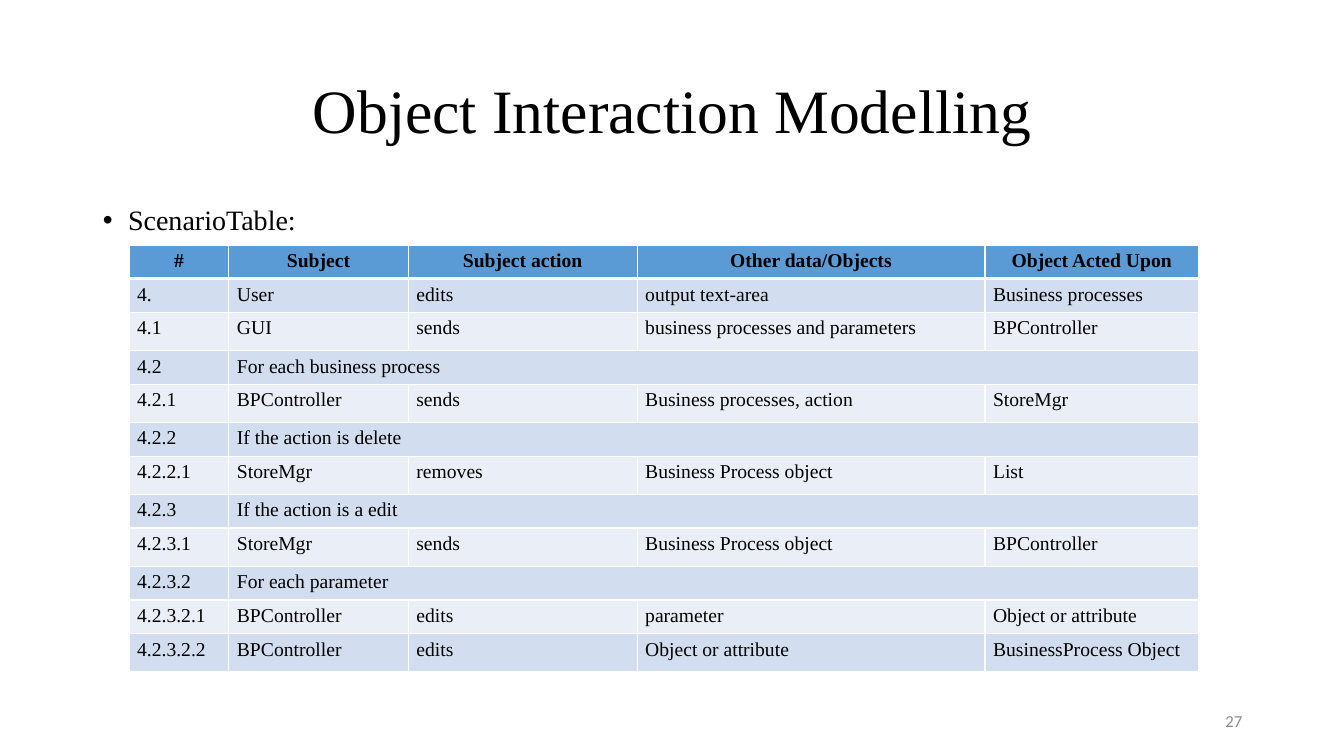
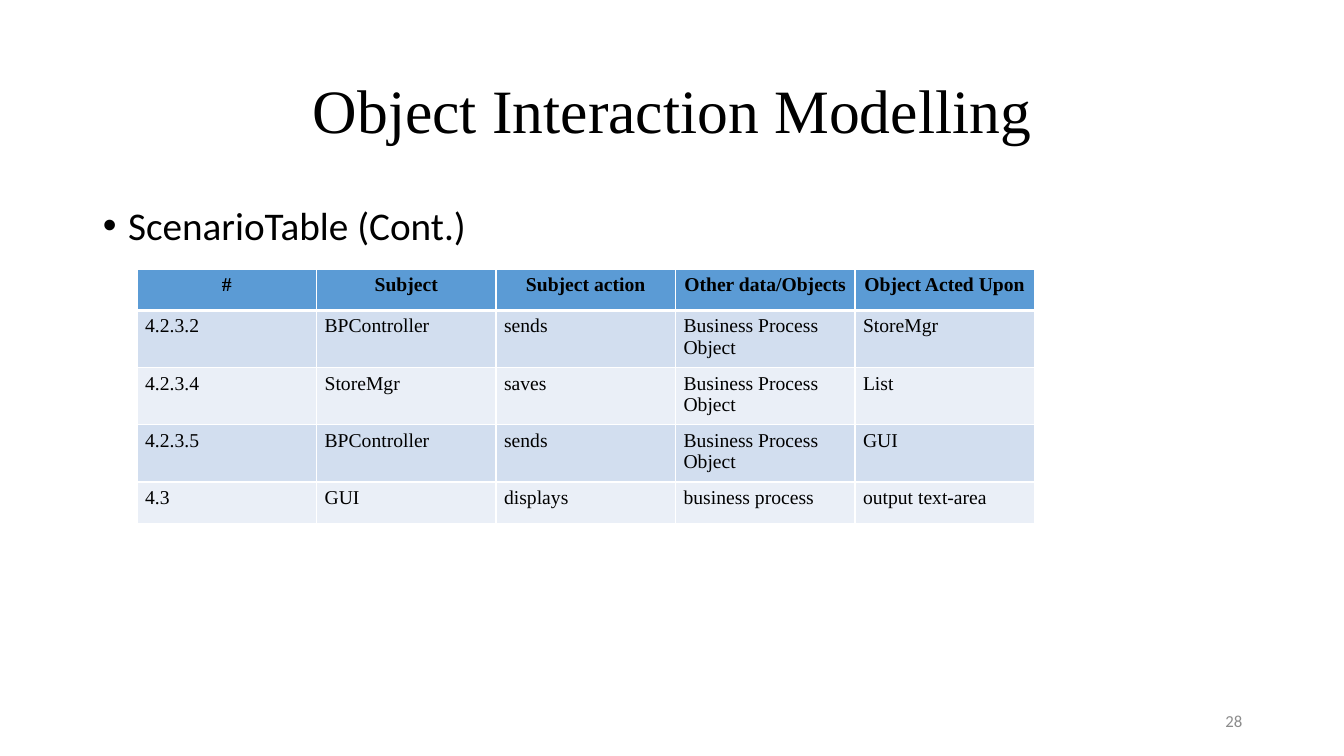
from dataclasses import dataclass

from lxml.etree import SubElement
from pptx import Presentation
from pptx.dml.color import RGBColor
from pptx.enum.text import MSO_ANCHOR as Anchor, MSO_AUTO_SIZE as AutoSize, PP_ALIGN as Align
from pptx.oxml.ns import qn
from pptx.util import Pt

PX = 9144  # EMU per px, 100 px to the inch


@dataclass(frozen=True)
class Theme:
    serif: str = "Times New Roman"
    sans: str = "Calibri"
    text: str = "000000"
    muted: str = "8C8C8C"
    border: str = "FFFFFF"
    header: str = "5B9BD5"
    bands: tuple = ("D2DEEF", "EAEFF7")
    title_size: int = 44
    cell_size: int = 14
    number_size: int = 12


THEME = Theme()
TITLE = "Object Interaction Modelling"
TITLE_BOX = (92, 40, 1150, 145)
BODY_BOX = (92, 200, 1150, 476)
NUMBER_BOX = (942, 695, 300, 40)
BULLET_INDENT = 25
CELL_INSETS = (8, 5, 8, 5)

HEADINGS = ("#", "Subject", "Subject action", "Other data/Objects", "Object Acted Upon")

# A row of two entries spans its second one over the remaining columns.
SCENARIO = (
    HEADINGS,
    ("4.", "User", "edits", "output text-area", "Business processes"),
    ("4.1", "GUI", "sends", "business processes and parameters", "BPController"),
    ("4.2", "For each business process"),
    ("4.2.1", "BPController", "sends", "Business processes, action", "StoreMgr"),
    ("4.2.2", "If the action is delete"),
    ("4.2.2.1", "StoreMgr", "removes", "Business Process object", "List"),
    ("4.2.3", "If the action is a edit"),
    ("4.2.3.1", "StoreMgr", "sends", "Business Process object", "BPController"),
    ("4.2.3.2", "For each parameter"),
    ("4.2.3.2.1", "BPController", "edits", "parameter", "Object or attribute"),
    ("4.2.3.2.2", "BPController", "edits", "Object or attribute", "BusinessProcess Object"),
)
SCENARIO_COLUMNS = (99, 178, 227, 345, 212)
SCENARIO_HEIGHTS = (31, 31, 38, 31, 38, 31, 38, 31, 38, 31, 31, 38)

CONTINUED = (
    HEADINGS,
    ("4.2.3.2", "BPController", "sends", "Business Process Object", "StoreMgr"),
    ("4.2.3.4", "StoreMgr", "saves", "Business Process Object", "List"),
    ("4.2.3.5", "BPController", "sends", "Business Process Object", "GUI"),
    ("4.3", "GUI", "displays", "business process", "output text-area"),
)
CONTINUED_COLUMNS = (178,) * len(HEADINGS)
CONTINUED_HEIGHTS = (41,) * len(CONTINUED)


def emu(lengths):
    return [length * PX for length in lengths]


def write(frame, text, *, size, font=THEME.serif, color=THEME.text, bold=False,
          align=Align.LEFT, anchor=Anchor.TOP, line_spacing=None, space_before=0):
    """Write one formatted paragraph and return it."""
    frame.word_wrap = True
    frame.vertical_anchor = anchor
    paragraph = frame.paragraphs[0]
    paragraph.alignment = align
    paragraph.line_spacing = line_spacing
    paragraph.space_before = Pt(space_before)
    run = paragraph.add_run()
    run.text = text
    run.font.size = Pt(size)
    run.font.name = font
    run.font.bold = bold
    run.font.color.rgb = RGBColor.from_string(color)
    return paragraph


def place(shape, box):
    shape.left, shape.top, shape.width, shape.height = emu(box)
    shape.text_frame.auto_size = AutoSize.NONE


def add_base_slide(presentation, number, bullet, **bullet_format):
    """Add a slide with the shared title, one bullet and the slide number."""
    slide = presentation.slides.add_slide(presentation.slide_layouts[1])
    title, body = slide.placeholders
    place(title, TITLE_BOX)
    write(title.text_frame, TITLE, size=THEME.title_size, align=Align.CENTER,
          anchor=Anchor.MIDDLE, line_spacing=0.9)

    place(body, BODY_BOX)
    paragraph = write(body.text_frame, bullet, line_spacing=0.9, space_before=10,
                      **bullet_format)
    properties = paragraph._p.get_or_add_pPr()
    properties.set("marL", str(BULLET_INDENT * PX))
    properties.set("indent", str(-BULLET_INDENT * PX))

    number_box = slide.shapes.add_textbox(*emu(NUMBER_BOX))
    write(number_box.text_frame, str(number), size=THEME.number_size, font=THEME.sans,
          color=THEME.muted, align=Align.RIGHT, anchor=Anchor.MIDDLE)
    return slide


def set_borders(cell, bottom):
    properties = cell._tc.get_or_add_tcPr()
    for side, points in (("L", 1), ("R", 1), ("T", 1), ("B", bottom)):
        line = SubElement(properties, qn(f"a:ln{side}"), w=str(Pt(points)))
        fill = SubElement(line, qn("a:solidFill"))
        SubElement(fill, qn("a:srgbClr"), val=THEME.border)


def style_cell(cell, row_index):
    is_header = row_index == 0
    set_borders(cell, bottom=3 if is_header else 1)
    cell.fill.solid()
    color = THEME.header if is_header else THEME.bands[(row_index - 1) % 2]
    cell.fill.fore_color.rgb = RGBColor.from_string(color)
    (cell.margin_left, cell.margin_top,
     cell.margin_right, cell.margin_bottom) = emu(CELL_INSETS)


def add_scenario_table(slide, left, top, rows, columns, heights):
    box = emu((left, top, sum(columns), sum(heights)))
    table = slide.shapes.add_table(len(rows), len(columns), *box).table
    for column, width in zip(table.columns, columns):
        column.width = width * PX
    for row_index, (texts, height) in enumerate(zip(rows, heights)):
        row = table.rows[row_index]
        row.height = height * PX
        for cell in row.cells:
            style_cell(cell, row_index)
        if len(texts) < len(columns):
            row.cells[len(texts) - 1].merge(row.cells[len(columns) - 1])
        is_header = row_index == 0
        for cell, text in zip(row.cells, texts):
            write(cell.text_frame, text, size=THEME.cell_size, bold=is_header,
                  align=Align.CENTER if is_header else Align.LEFT)


def main():
    presentation = Presentation()
    presentation.slide_width, presentation.slide_height = emu((1333, 750))

    slide = add_base_slide(presentation, 27, "ScenarioTable:", size=20)
    add_scenario_table(slide, 128, 243, SCENARIO, SCENARIO_COLUMNS, SCENARIO_HEIGHTS)

    slide = add_base_slide(presentation, 28, "ScenarioTable (Cont.)", size=28, font=THEME.sans)
    add_scenario_table(slide, 136, 267, CONTINUED, CONTINUED_COLUMNS, CONTINUED_HEIGHTS)

    presentation.save("out.pptx")


if __name__ == "__main__":
    main()
